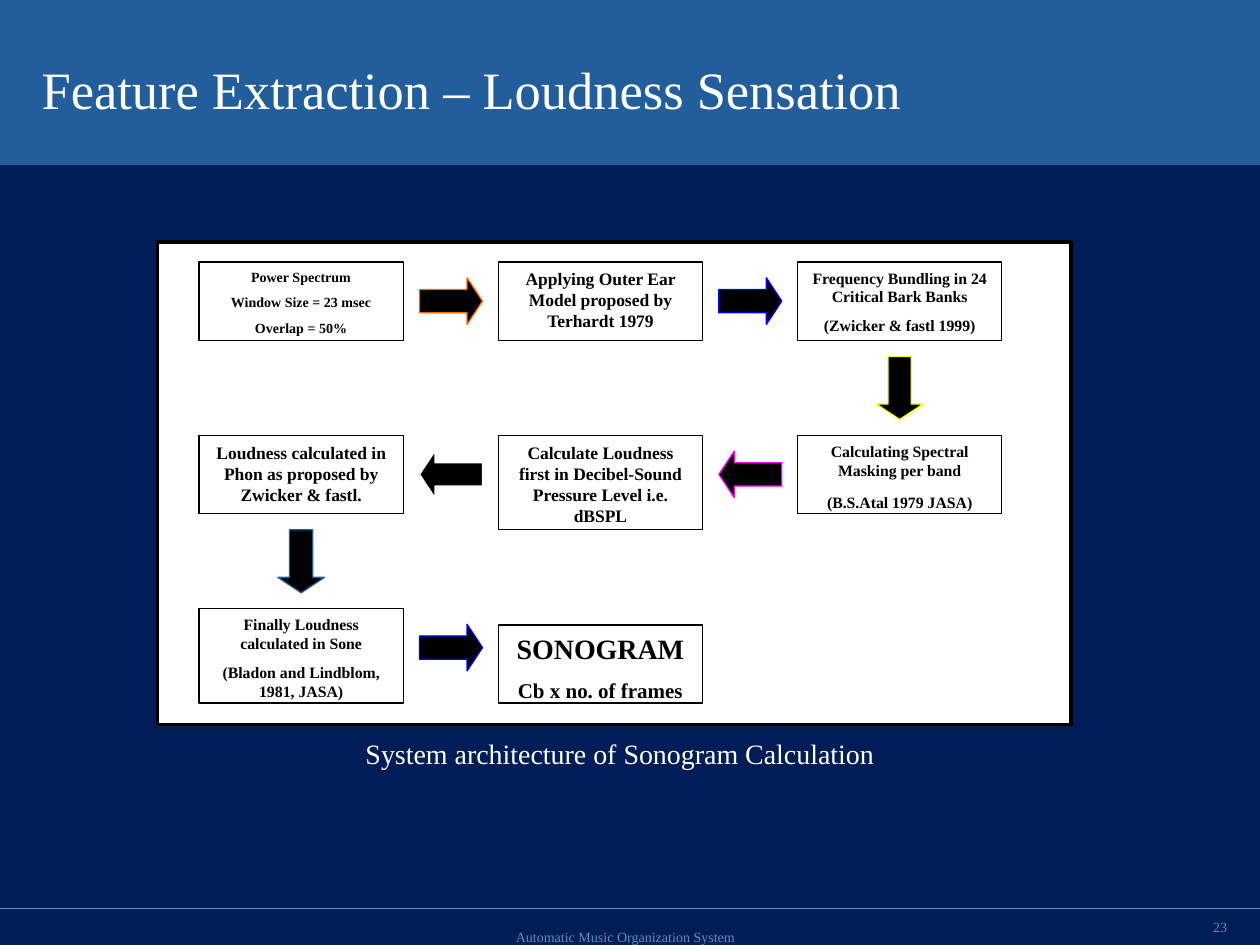
from dataclasses import dataclass

from pptx import Presentation
from pptx.dml.color import RGBColor
from pptx.enum.shapes import MSO_CONNECTOR, MSO_SHAPE
from pptx.enum.text import MSO_ANCHOR, PP_ALIGN
from pptx.oxml.ns import qn
from pptx.util import Inches, Pt

RECT, ARROW = MSO_SHAPE.RECTANGLE, MSO_SHAPE.RIGHT_ARROW
LEFT, CENTER, RIGHT = PP_ALIGN.LEFT, PP_ALIGN.CENTER, PP_ALIGN.RIGHT
TOP, MIDDLE = MSO_ANCHOR.TOP, MSO_ANCHOR.MIDDLE

NAVY = RGBColor(0x00, 0x1D, 0x58)
BLUE = RGBColor(0x21, 0x5E, 0x9B)
PALE_BLUE = RGBColor(0x5A, 0x93, 0xB6)
WHITE = RGBColor(0xFF, 0xFF, 0xFF)
BLACK = RGBColor(0x00, 0x00, 0x00)
ORANGE = RGBColor(0xFF, 0x66, 0x00)
PURE_BLUE = RGBColor(0x00, 0x00, 0xFF)
YELLOW = RGBColor(0xFF, 0xFF, 0x00)
MAGENTA = RGBColor(0xFF, 0x00, 0xFF)

FONT = "Times New Roman"
WIDTH, HEIGHT = 10, 7.5

# Flowchart grid, in inches
GRID_X, GRID_Y = 1.58, 2.08
COL, ROW = 2.375, 1.375
BOX_W, BOX_H, TALL_H = 1.62, 0.62, 0.75
ARROW_W, ARROW_H = 0.5, 0.37
ACROSS, DOWN = (2.0, BOX_H / 2), (BOX_W / 2, 1.0)  # arrow centre from its cell


@dataclass
class Line:
    text: str
    size: float
    before: float = 0


@dataclass
class Step:
    col: int
    row: int
    lines: list[Line]
    height: float = BOX_H
    drop: float = 0


@dataclass
class Arrow:
    col: int
    row: int
    offset: tuple[float, float]
    angle: int
    outline: RGBColor


STEPS = [
    Step(0, 0, [Line("Power Spectrum", 8), Line("Window Size = 23 msec", 8, 5),
                Line("Overlap = 50%", 8, 5)]),
    Step(1, 0, [Line("Applying Outer Ear Model proposed by Terhardt 1979", 10)]),
    Step(2, 0, [Line("Frequency Bundling in 24 Critical Bark Banks", 9),
                Line("(Zwicker & fastl 1999)", 9, 5.6)]),
    Step(2, 1, [Line("Calculating Spectral Masking per band", 9),
                Line("(B.S.Atal 1979 JASA)", 9, 7.5)]),
    Step(1, 1, [Line("Calculate Loudness first in Decibel-Sound Pressure Level "
                     "i.e. dBSPL", 10)], TALL_H),
    Step(0, 1, [Line("Loudness calculated in Phon as proposed by "
                     "Zwicker & fastl.", 10)]),
    Step(0, 2, [Line("Finally Loudness calculated in Sone", 9),
                Line("(Bladon and Lindblom, 1981, JASA)", 9, 5.6)], TALL_H),
    Step(1, 2, [Line("SONOGRAM", 16), Line("Cb x no. of frames", 12, 7.5)],
         drop=TALL_H - BOX_H),
]

ARROWS = [
    Arrow(0, 0, ACROSS, 0, ORANGE),
    Arrow(1, 0, ACROSS, 0, PURE_BLUE),
    Arrow(2, 0, DOWN, 90, YELLOW),
    Arrow(1, 1, ACROSS, 180, MAGENTA),
    Arrow(0, 1, ACROSS, 180, WHITE),
    Arrow(0, 1, DOWN, 90, BLUE),
    Arrow(0, 2, ACROSS, 0, PURE_BLUE),
]


def add_block(s, kind, x: float, y: float, w: float, h: float,
              fill: RGBColor, outline: RGBColor | None = None,
              weight: float = 0.75):
    """Draw a filled preset shape, outlined if a colour is given."""
    sp = s.shapes.add_shape(kind, Inches(x), Inches(y), Inches(w), Inches(h))
    sp.shadow.inherit = False
    sp.fill.solid()
    sp.fill.fore_color.rgb = fill
    if outline is None:
        sp.line.fill.background()
    else:
        sp.line.color.rgb = outline
        sp.line.width = Pt(weight)
    return sp


def write(sp, lines: list[Line], *, color: RGBColor, align=CENTER, anchor=TOP,
          bold: bool = False, inset: tuple[float, float] = (0, 0)) -> None:
    """Fill a shape with formatted paragraphs."""
    tf = sp.text_frame
    tf.word_wrap = True
    tf.vertical_anchor = anchor
    tf.margin_left = tf.margin_right = Inches(inset[0])
    tf.margin_top = tf.margin_bottom = Inches(inset[1])
    for i, line in enumerate(lines):
        p = tf.add_paragraph() if i else tf.paragraphs[0]
        p.alignment = align
        p.space_before = Pt(line.before)
        r = p.add_run()
        r.text = line.text
        r.font.name = FONT
        r.font.size = Pt(line.size)
        r.font.bold = bold
        r.font.color.rgb = color


def add_label(s, text: str, x: float, y: float, w: float, h: float, *,
              size: float, color: RGBColor = WHITE, align=CENTER) -> None:
    sp = s.shapes.add_textbox(Inches(x), Inches(y), Inches(w), Inches(h))
    write(sp, [Line(text, size)], color=color, align=align, anchor=MIDDLE)


def add_step(s, step: Step) -> None:
    sp = add_block(s, RECT, GRID_X + step.col * COL,
                   GRID_Y + step.row * ROW + step.drop,
                   BOX_W, step.height, WHITE, BLACK)
    write(sp, step.lines, color=BLACK, bold=True, inset=(0.1, 0.05))


def add_arrow(s, arrow: Arrow) -> None:
    x = GRID_X + arrow.col * COL + arrow.offset[0] - ARROW_W / 2
    y = GRID_Y + arrow.row * ROW + arrow.offset[1] - ARROW_H / 2
    sp = add_block(s, ARROW, x, y, ARROW_W, ARROW_H, BLACK, arrow.outline)
    sp.adjustments[1] = 0.33
    sp.rotation = arrow.angle


def add_rule(s, y: float) -> None:
    rule = s.shapes.add_connector(MSO_CONNECTOR.STRAIGHT, 0, Inches(y),
                                  Inches(WIDTH), Inches(y))
    rule.line.color.rgb = PALE_BLUE
    rule.line.width = Pt(0.75)
    sp_pr = rule._element.spPr
    sp_pr.append(sp_pr.makeelement(qn("a:effectLst"), {}))


def main() -> None:
    prs = Presentation()
    prs.slide_width, prs.slide_height = Inches(WIDTH), Inches(HEIGHT)
    s = prs.slides.add_slide(prs.slide_layouts[6])
    s.background.fill.solid()
    s.background.fill.fore_color.rgb = NAVY

    # Title band and footer rule
    add_block(s, RECT, 0, 0, WIDTH, 1.31, BLUE)
    add_rule(s, 7.21)
    add_label(s, "Feature Extraction – Loudness Sensation",
              0.33, 0.25, 8.02, 0.9, size=30, align=LEFT)

    # Flowchart on its white panel
    add_block(s, RECT, 1.25, 1.92, 7.25, 3.83, WHITE, BLACK, 2)
    for step in STEPS:
        add_step(s, step)
    for arrow in ARROWS:
        add_arrow(s, arrow)

    # Caption and footer
    add_label(s, "System architecture of Sonogram Calculation",
              0.33, 5.83, 9.18, 0.3, size=16)
    add_label(s, "Automatic Music Organization System",
              1.67, 7.36, 6.59, 0.15, size=8, color=PALE_BLUE)
    add_label(s, "23", 9.3, 7.28, 0.44, 0.15, size=8, color=PALE_BLUE, align=RIGHT)

    prs.save("out.pptx")


if __name__ == "__main__":
    main()
